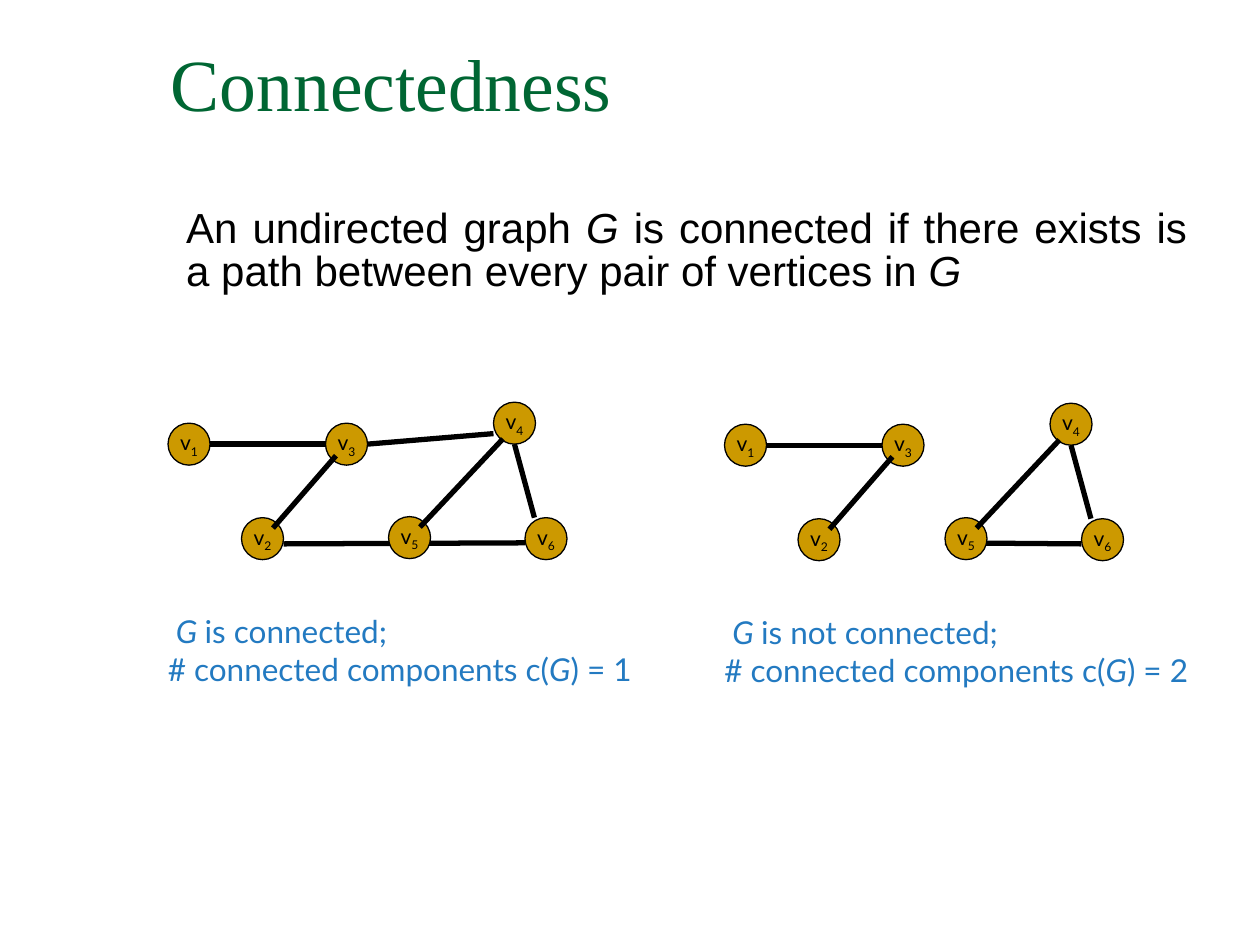
from lxml import etree
from pptx import Presentation, util as u
from pptx.dml.color import RGBColor
from pptx.enum import shapes, text
from pptx.oxml import ns

colors = {"title": "006633", "ink": "000000", "node": "CC9900", "caption": "237AC1"}

presentation = Presentation()
presentation.slide_width, presentation.slide_height = u.Inches(10), u.Inches(7.5)
slide = presentation.slides.add_slide(presentation.slide_layouts[6])
unit = presentation.slide_width / 120


def grid(*cells):
    return [round(cell * unit) for cell in cells]


def write(frame, paragraphs, font_name, size, color):
    for index, runs in enumerate(paragraphs):
        paragraph = frame.paragraphs[0] if index == 0 else frame.add_paragraph()
        paragraph.font.name, paragraph.font.size = font_name, u.Pt(size)
        paragraph.font.color.rgb = RGBColor.from_string(colors[color])
        for words in runs:
            run = paragraph.add_run()
            run.text = words
            if words.strip() == "G":
                run.font.italic = True


title = slide.shapes.add_textbox(*grid(15.1, 2.8, 102.2, 9.2)).text_frame
title.word_wrap = True
title.margin_top = title.margin_bottom = 0
title.vertical_anchor = text.MSO_ANCHOR.BOTTOM
write(title, [["Connectedness"]], "Times New Roman", 42, "title")

definition = slide.shapes.add_textbox(*grid(16.56, 19.2, 97.68, 17.5)).text_frame
definition.word_wrap = True
write(definition, [["An undirected graph ", "G",
                    " is connected if there exists is a path between every pair of vertices in ",
                    "G"]], "Arial", 24, "ink")
definition.paragraphs[0].alignment = text.PP_ALIGN.JUSTIFY
definition.paragraphs[0].line_spacing = u.Pt(25)

node_size = 4
nodes = {1: (0, 2), 2: (7, 11), 3: (15, 2), 4: (31, 0), 5: (21, 10.9), 6: (34, 11)}
edges = {
    "v1-v3": (4, 4, 15, 4),
    "v2-v3": (10, 12, 16, 5.1),
    "v3-v4": (19, 4, 31, 3),
    "v4-v6": (33, 4, 34.9, 11),
    "v2-v6": (11, 13.5, 34, 13.4),
    "v5-v6": (21, 13.3, 34, 13.4),
    "v4-v5": (31.9, 3.5, 24, 11.9),
}
graphs = [
    (16, 38.3, ["v1-v3", "v2-v3", "v3-v4", "v4-v6", "v2-v6"], "is connected;", 1),
    (69, 38.4, ["v1-v3", "v2-v3", "v4-v6", "v5-v6"], "is not connected;", 2),
]

for left, top, edges_behind, verdict, components in graphs:
    graph = slide.shapes.add_group_shape()
    for item in [1, 2, 3, 6, 4, *edges_behind, 5, "v4-v5"]:
        if item in nodes:
            x, y = nodes[item]
            node = graph.shapes.add_shape(shapes.MSO_SHAPE.OVAL,
                                          *grid(left + x, top + y, node_size, node_size))
            node.shadow.inherit = False
            node.fill.solid()
            node.fill.fore_color.rgb = RGBColor.from_string(colors["node"])
            node.line.color.rgb = RGBColor.from_string(colors["ink"])
            node.line.width = u.Pt(0.75)
            label = node.text_frame
            label.word_wrap = False
            label.vertical_anchor = text.MSO_ANCHOR.MIDDLE
            write(label, [["v", str(item)]], "Lato", 12, "ink")
            label.paragraphs[0].alignment = text.PP_ALIGN.CENTER
            label.paragraphs[0].runs[1].font._element.set("baseline", "-25000")
        else:
            x1, y1, x2, y2 = edges[item]
            edge = graph.shapes.add_connector(
                shapes.MSO_CONNECTOR.STRAIGHT,
                *grid(left + x1, top + y1, left + x2, top + y2))
            edge.line.color.rgb = RGBColor.from_string(colors["ink"])
            edge.line.width = u.Pt(3)
            etree.SubElement(edge._element.spPr, ns.qn("a:effectLst"))

    caption = slide.shapes.add_textbox(*grid(left - 1.2, top + 19.4, 48.5, 15.6)).text_frame
    caption.word_wrap = True
    write(caption, [[" ", "G ", verdict],
                    ["# connected components c(", "G", f") = {components}"]],
          "Lato", 18, "caption")

presentation.save("out.pptx")
